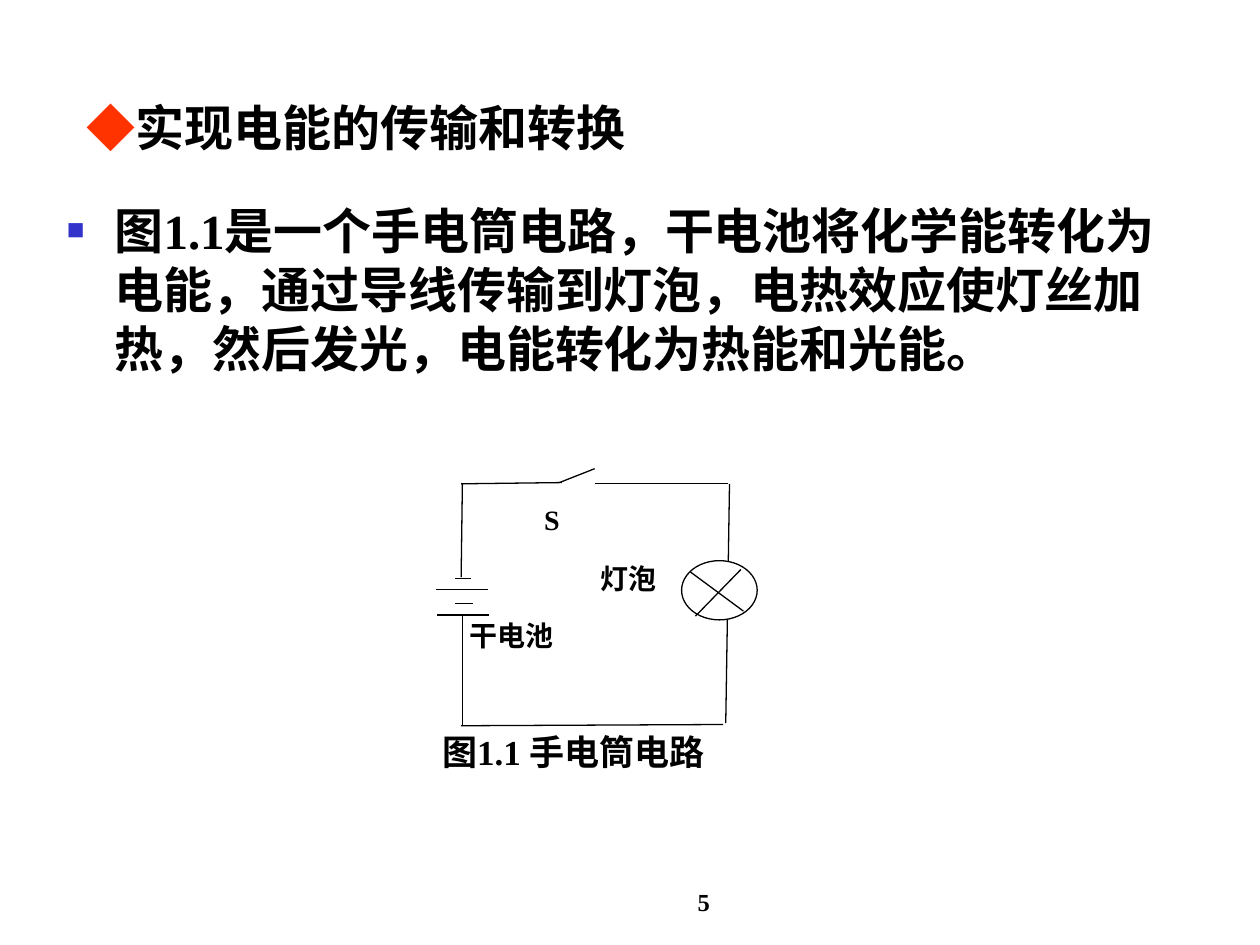
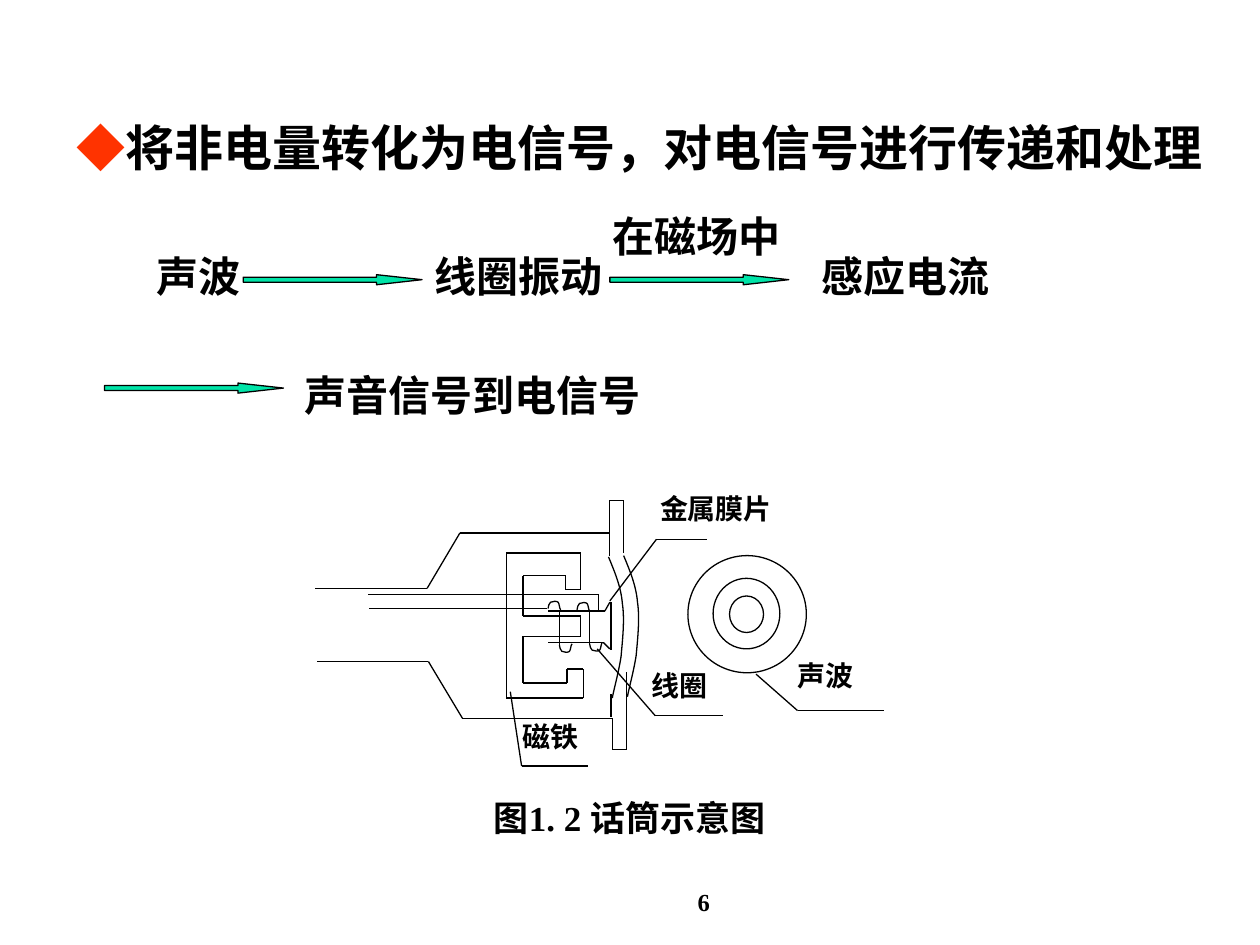
from dataclasses import dataclass
from itertools import pairwise

from lxml import etree
from pptx import Presentation
from pptx.dml.color import RGBColor
from pptx.enum.shapes import MSO_CONNECTOR as CONNECTOR, MSO_SHAPE as SHAPE
from pptx.enum.text import MSO_ANCHOR as ANCHOR, MSO_AUTO_SIZE as AUTO, PP_ALIGN as ALIGN
from pptx.oxml.ns import qn
from pptx.util import Emu, Pt


@dataclass(frozen=True)
class Theme:
    ink: str = "000000"
    paper: str = "FFFFFF"
    diamond: str = "FF3300"
    bullet: str = "3333CC"
    arrow: str = "00E4A8"
    serif: str = "Times New Roman"
    sans: str = "Arial"
    label_font: str = "Noto Sans CJK SC"
    symbol: str = "Cabin"
    heading: int = 28
    step: int = 24
    caption: int = 20
    label: int = 16
    number: int = 14
    hairline: float = 0.75


@dataclass(frozen=True)
class Box:
    left: int
    top: int
    width: int
    height: int

    def inner(self, left, top, width, height):
        return Box(self.left + left, self.top + top, width, height)

    def point(self, spot):
        return px(self.left + spot[0]), px(self.top + spot[1])

    def emu(self):
        return [px(n) for n in (self.left, self.top, self.width, self.height)]


THEME = Theme()
EMU_PER_PX = 9144  # 100 px to the inch


def px(length):
    return Emu(length * EMU_PER_PX)


def rgb(color):
    return RGBColor.from_string(color)


# ---- Text ----
def write(para, text, size=THEME.heading, font=THEME.serif, color=THEME.ink):
    span = para.add_run()
    span.text = text
    span.font.size, span.font.bold, span.font.name = Pt(size), True, font
    span.font.color.rgb = rgb(color)
    east_asian = etree.Element(qn("a:ea"), typeface=THEME.symbol)
    span.font._element.find(qn("a:latin")).addnext(east_asian)


def prepare(frame, align=ALIGN.LEFT, anchor=ANCHOR.TOP, inset_top=5, indent=0):
    frame.word_wrap, frame.auto_size = True, AUTO.NONE
    frame.vertical_anchor = anchor
    frame.margin_left = frame.margin_right = px(10)
    frame.margin_top, frame.margin_bottom = px(inset_top), px(5)
    para = frame.paragraphs[0]
    para.alignment, para.space_before = align, Pt(0)
    if indent:
        para._p.get_or_add_pPr().set("marL", str(px(indent)))
    return para


def add_text(page, box, text, size, font=THEME.serif, **layout):
    frame = page.shapes.add_textbox(*box.emu()).text_frame
    write(prepare(frame, **layout), text, size=size, font=font)


def add_plate(page, box, text, size, font=THEME.serif, **layout):
    plate = add_preset(page, SHAPE.RECTANGLE, box, line=THEME.paper)
    para = prepare(plate.text_frame, align=ALIGN.JUSTIFY, **layout)
    write(para, text, size=size, font=font)


# ---- Drawing ----
def outline(shape, color=THEME.ink):
    shape.line.color.rgb = rgb(color)
    shape.line.width = Pt(THEME.hairline)


def add_preset(page, kind, box, fill=THEME.paper, line=THEME.ink):
    shape = page.shapes.add_shape(kind, *box.emu())
    shape.shadow.inherit = False
    shape.fill.solid()
    shape.fill.fore_color.rgb = rgb(fill)
    outline(shape, line)
    return shape


def add_wires(page, box, *wires):
    """Draw each wire as a chain of straight connectors."""
    for wire in wires:
        for start, end in pairwise(wire):
            line = page.shapes.add_connector(
                CONNECTOR.STRAIGHT, *box.point(start), *box.point(end))
            outline(line)
            etree.SubElement(line._element.spPr, qn("a:effectLst"))


def add_curve(page, box, curve, left, top, flip=1):
    """Draw cubic curves: a start, then two handles and an end for each."""
    spots = [box.point((left + x, top + flip * y)) for x, y in curve]
    builder = page.shapes.build_freeform(*spots[0], scale=1.0)
    builder.add_line_segments(spots[1:], close=False)
    shape = builder.convert_to_shape()
    # Merge every three straight steps into one cubic
    steps = list(shape._element.iter(qn("a:lnTo")))
    for first in range(0, len(steps), 3):
        cubic = etree.Element(qn("a:cubicBezTo"))
        steps[first].addprevious(cubic)
        for step in steps[first:first + 3]:
            cubic.append(step[0])
            step.getparent().remove(step)
    shape.shadow.inherit = False
    shape.fill.background()
    outline(shape)


# ---- Shared slide parts ----
def place(holder, box):
    holder.left, holder.top, holder.width, holder.height = box.emu()


def add_page(deck, layout, title, title_box, number):
    page = deck.slides.add_slide(deck.slide_layouts[layout])
    place(page.shapes.title, title_box)
    para = prepare(page.shapes.title.text_frame, anchor=ANCHOR.BOTTOM)
    write(para, "◆", font=THEME.symbol, color=THEME.diamond)
    write(para, title)
    add_text(page, Box(400, 682, 317, 50), number, THEME.number,
             align=ALIGN.CENTER, anchor=ANCHOR.BOTTOM)
    return page


def fill_body(page, box, text):
    holder = page.placeholders[1]
    place(holder, box)
    para = prepare(holder.text_frame)
    props = para._p.get_or_add_pPr()
    props.set("marL", str(px(38)))
    props.set("indent", str(px(-38)))
    color = etree.SubElement(props, qn("a:buClr"))
    etree.SubElement(color, qn("a:srgbClr"), val=THEME.bullet)
    etree.SubElement(props, qn("a:buSzPct"), val="60000")
    etree.SubElement(props, qn("a:buChar"), char="■")
    write(para, text)


# ---- Figure 1.1 ----
def draw_torch_circuit(page, box):
    add_plate(page, box.inner(11, 215, 339, 60), "图1.1 手电筒电路",
              THEME.caption, indent=30)
    add_plate(page, box.inner(122, 7, 80, 63), "S", THEME.label, inset_top=32)
    add_wires(
        page, box,
        [(66, 24), (146, 23)],
        [(67, 24), (66, 98)],
        [(279, 24), (276, 214)],
        [(274, 215), (66, 216)],
        [(67, 215), (67, 128)],
        [(278, 24), (172, 24)],
        [(144, 23), (172, 12)],  # switch
    )
    # Battery plates
    for left, right, y in ((61, 74, 99), (46, 87, 108), (61, 75, 119), (47, 88, 128)):
        add_wires(page, box, [(left, y), (right, y)])
    # Lamp
    add_preset(page, SHAPE.OVAL, box.inner(241, 85, 60, 47))
    add_wires(page, box, [(248, 94), (290, 125)], [(288, 92), (252, 129)])
    add_text(page, box.inner(43, 126, 165, 60), "干电池", THEME.label, indent=20)
    add_text(page, box.inner(135, 81, 127, 60), "灯泡", THEME.label,
             align=ALIGN.CENTER)


# ---- Signal chain ----
def draw_signal_chain(page, box):
    steps = (
        ("声波", 34, 34, 105), ("线圈振动", 255, 34, 205),
        ("感应电流", 562, 34, 181), ("在磁场中", 396, 2, 165),
        ("声音信号到电信号", 152, 128, 354),
    )
    for text, left, top, width in steps:
        add_text(page, box.inner(left, top, width, 50), text, THEME.step,
                 font=THEME.sans)
    for left, top in ((113, 58), (404, 58), (3, 144)):
        arrow = add_preset(page, SHAPE.RIGHT_ARROW, box.inner(left, top, 142, 8),
                           fill=THEME.arrow)
        arrow.adjustments[0], arrow.adjustments[1] = 0.5, 4.52


# ---- Figure 1.2 ----
MEMBRANE = [(0, 0), (5, 12), (10, 24), (11, 37), (13, 50), (11, 67), (10, 79),
            (8, 92), (4, 106), (3, 112)]
COIL_TURN = [(0, 6), (0, 4), (1, 2), (2, 1), (4, 0), (7, 0), (8, 1),
             (9, 2), (9, 6), (10, 7)]


def draw_microphone(page, box):
    add_plate(page, box.inner(132, 247, 242, 52), "图1. 2 话筒示意图", THEME.caption)
    # Labels with their leader lines
    labels = (
        ("声波", (373, 138, 89, 51), [(350, 155), (383, 184), (452, 184)]),
        ("磁铁", (155, 186, 90, 51), [(155, 169), (164, 228), (217, 228)]),
        ("线圈", (257, 146, 89, 51), [(224, 135), (270, 188), (324, 188)]),
        ("金属膜片", (264, 5, 141, 50), [(234, 97), (271, 48), (311, 48)]),
    )
    for text, area, _ in labels:
        add_plate(page, box.inner(*area), text, THEME.label, font=THEME.label_font)
    # Sound waves
    for ring in ((296, 61, 94, 93), (316, 79, 53, 56), (329, 93, 27, 29)):
        add_preset(page, SHAPE.OVAL, box.inner(*ring))
    # Housing
    add_wires(
        page, box,
        [(2, 145), (90, 145), (117, 190), (236, 190), (236, 215), (247, 215), (247, 153)],
        [(0, 87), (89, 87), (115, 43), (234, 43), (234, 17), (245, 17), (245, 59)],
        [(234, 42), (234, 61)], [(235, 189), (235, 171)],
    )
    for left, top in ((245, 61), (233, 62)):
        add_curve(page, box, MEMBRANE, left, top)
    # Magnet
    add_wires(page, box, [
        (152, 59), (211, 59), (211, 88), (199, 88), (199, 77), (165, 77),
        (165, 109), (211, 109), (211, 125), (165, 125), (165, 162), (200, 162),
        (200, 151), (213, 151), (213, 174), (152, 174), (152, 59)])
    # Coil, its frame and its two leads
    add_wires(
        page, box,
        [(185, 105), (230, 105), (234, 98)],
        [(185, 130), (229, 130), (234, 135)],
        [(235, 98), (235, 136)],
        [(194, 105), (194, 132)], [(218, 105), (218, 131)],
        [(184, 103), (43, 103)], [(225, 105), (225, 92), (42, 92)],
    )
    for left, top, flip in ((185, 97, 1), (208, 98, 1), (194, 138, -1), (218, 137, -1)):
        add_curve(page, box, COIL_TURN, left, top, flip)
    add_wires(page, box, *(leader for _, _, leader in labels))


def main():
    deck = Presentation()
    deck.slide_width, deck.slide_height = px(1000), px(750)

    page = add_page(deck, 1, "实现电能的传输和转换", Box(59, 60, 568, 69), "5")
    fill_body(page, Box(43, 154, 900, 189),
              "图1.1是一个手电筒电路，干电池将化学能转化为电能，通过导线传输到灯泡，"
              "电热效应使灯丝加热，然后发光，电能转化为热能和光能。")
    draw_torch_circuit(page, Box(300, 360, 350, 275))

    page = add_page(deck, 5, "将非电量转化为电信号，对电信号进行传递和处理",
                    Box(51, 20, 949, 125), "6")
    draw_microphone(page, Box(250, 380, 462, 299))
    draw_signal_chain(page, Box(80, 160, 743, 178))

    deck.save("out.pptx")


if __name__ == "__main__":
    main()
